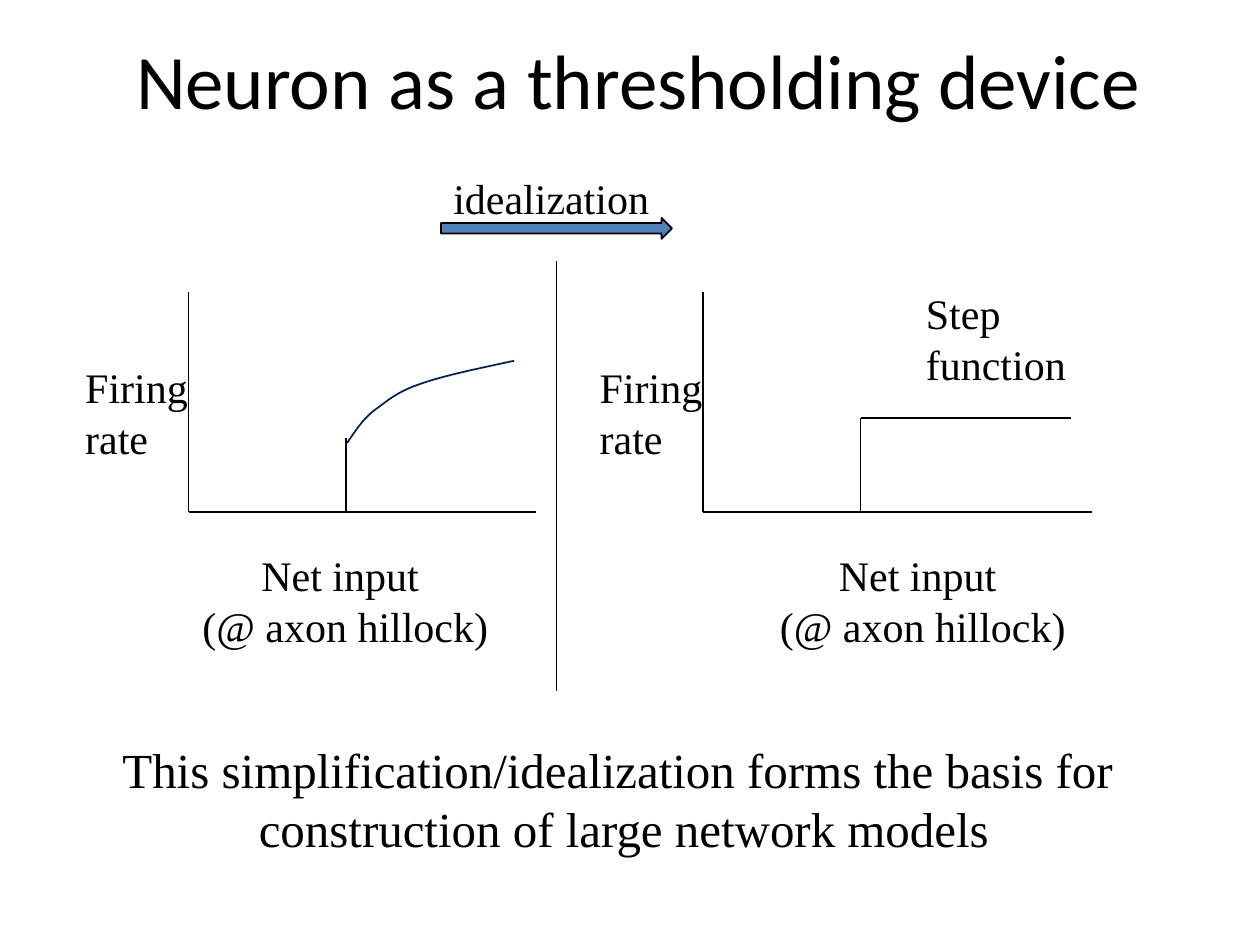
from lxml.etree import SubElement
from pptx import Presentation
from pptx.dml.color import RGBColor
from pptx.enum.shapes import MSO_CONNECTOR as CONN, MSO_SHAPE as SHAPE
from pptx.enum.text import MSO_ANCHOR as ANCHOR, MSO_AUTO_SIZE as AUTO, PP_ALIGN as ALIGN
from pptx.oxml.ns import qn
from pptx.util import Pt

BLACK = RGBColor(0x00, 0x00, 0x00)
NAVY = RGBColor(0x00, 0x20, 0x60)
BLUE = RGBColor(0x4F, 0x81, 0xBD)
SERIF = "Times New Roman"
NET_INPUT = ["Net input ", "(@ axon hillock)"]


def set_attrs(obj, **values):
    """Set each named attribute on an object."""
    for name, value in values.items():
        setattr(obj, name, value)


def add_line(s, x1, y1, x2, y2):
    """Draw a thin black line without shadow."""
    c = s.shapes.add_connector(CONN.STRAIGHT, Pt(x1), Pt(y1), Pt(x2), Pt(y2))
    c.line.width = Pt(1)
    c.line.color.rgb = BLACK
    SubElement(c._element.spPr, qn("a:effectLst"))


def add_label(s, lines, x, y, w, h, size=24, align=ALIGN.LEFT):
    """Place unwrapped serif text, one paragraph for each line."""
    tf = s.shapes.add_textbox(Pt(x), Pt(y), Pt(w), Pt(h)).text_frame
    set_attrs(tf, text="\n".join(lines), word_wrap=False, auto_size=AUTO.NONE)
    for p in tf.paragraphs:
        set_attrs(p, alignment=align, line_spacing=Pt(round(size * 1.215, 1)))
        set_attrs(p.runs[0].font, name=SERIF, size=Pt(size))
        p.runs[0].font.color.rgb = BLACK


def add_title(s, text, x, y, w, h):
    """Move and format the title placeholder."""
    sp = s.shapes.title
    set_attrs(sp, left=Pt(x), top=Pt(y), width=Pt(w), height=Pt(h))
    tf = sp.text_frame
    set_attrs(tf, text=text, vertical_anchor=ANCHOR.MIDDLE, word_wrap=True)
    p = tf.paragraphs[0]
    p.alignment = ALIGN.CENTER
    set_attrs(p.runs[0].font, name="Calibri", size=Pt(44))
    p.runs[0].font.color.rgb = BLACK


def add_axes(s, x, y, w, h, threshold, step, label_dx):
    """Draw a firing-rate plot frame with its threshold riser and labels."""
    base = y + h
    add_line(s, x, y, x, base)
    add_line(s, x, base, x + w, base)
    add_line(s, x + threshold, base, x + threshold, base - step)
    add_label(s, NET_INPUT, x + label_dx, base + 17.5, 179, 65.5, align=ALIGN.CENTER)
    add_label(s, ["Firing", "rate"], x - 66.2, y + 35.5, 73.5, 65.5)


def bezier(p0, p1, p2, p3, steps=16):
    """Return points along a cubic curve, leaving out its start."""
    points = []
    for i in range(1, steps + 1):
        t = i / steps
        u = 1 - t
        points.append(tuple(u**3 * a + 3 * u * u * t * b + 3 * u * t * t * c + t**3 * d
                            for a, b, c, d in zip(p0, p1, p2, p3)))
    return points


def add_response_curve(s, x, y):
    """Draw the saturating response, starting at the given point."""
    knots = [(0, 0), (4.5, -6.5), (8.8, -13.5), (16, -19), (23.5, -24.5),
             (29, -29.5), (42.5, -34), (56, -38.7), (75.5, -42.7), (95.5, -47)]
    points = [pt for i in range(0, len(knots) - 1, 3) for pt in bezier(*knots[i:i + 4])]
    fb = s.shapes.build_freeform(Pt(x), Pt(y), scale=1.0)
    fb.add_line_segments([(Pt(x + dx), Pt(y + dy)) for dx, dy in points], close=False)
    sp = fb.convert_to_shape()
    sp.shadow.inherit = False
    sp.fill.background()
    sp.line.color.rgb = NAVY
    sp.line.width = Pt(1)


def add_real_neuron(s, x, y, w, h):
    """Draw the plot of the real neuron."""
    add_axes(s, x, y, w, h, threshold=90, step=42.5, label_dx=0)
    add_response_curve(s, x + 90.5, y + h - 39.5)


def add_ideal_neuron(s, x, y, w, h):
    """Draw the plot of the idealized step neuron."""
    add_axes(s, x, y, w, h, threshold=90, step=54, label_dx=36)
    top = y + h - 54
    add_line(s, x + 90, top, x + 210, top)
    add_label(s, ["Step", "function"], x + 120.2, y - 6.5, 95, 65.5)


def add_idealization(s, x, y, w):
    """Draw the labelled arrow and the divider below its middle."""
    add_line(s, x + w / 2, y + 54.5, x + w / 2, y + 300.5)
    sp = s.shapes.add_shape(SHAPE.RIGHT_ARROW, Pt(x), Pt(y + 30), Pt(w), Pt(12))
    sp.shadow.inherit = False
    sp.fill.solid()
    sp.fill.fore_color.rgb = BLUE
    sp.line.color.rgb = BLACK
    sp.line.width = Pt(1)
    add_label(s, ["idealization"], x, y, 127.4, 36.7)


def main():
    """Build and save the slide."""
    prs = Presentation()
    set_attrs(prs, slide_width=Pt(720), slide_height=Pt(540))
    s = prs.slides.add_slide(prs.slide_layouts[5])
    add_title(s, "Neuron as a thresholding device", 41, 0, 648, 90)
    add_real_neuron(s, 107.8, 167, 198.2, 125.7)
    add_ideal_neuron(s, 401.8, 167, 222, 125.7)
    add_idealization(s, 252, 94.5, 132)
    add_label(s, ["This simplification/idealization forms the basis for ",
                  "construction of large network models"],
              60, 418.5, 593, 75, size=28, align=ALIGN.CENTER)
    prs.save("out.pptx")


if __name__ == "__main__":
    main()
